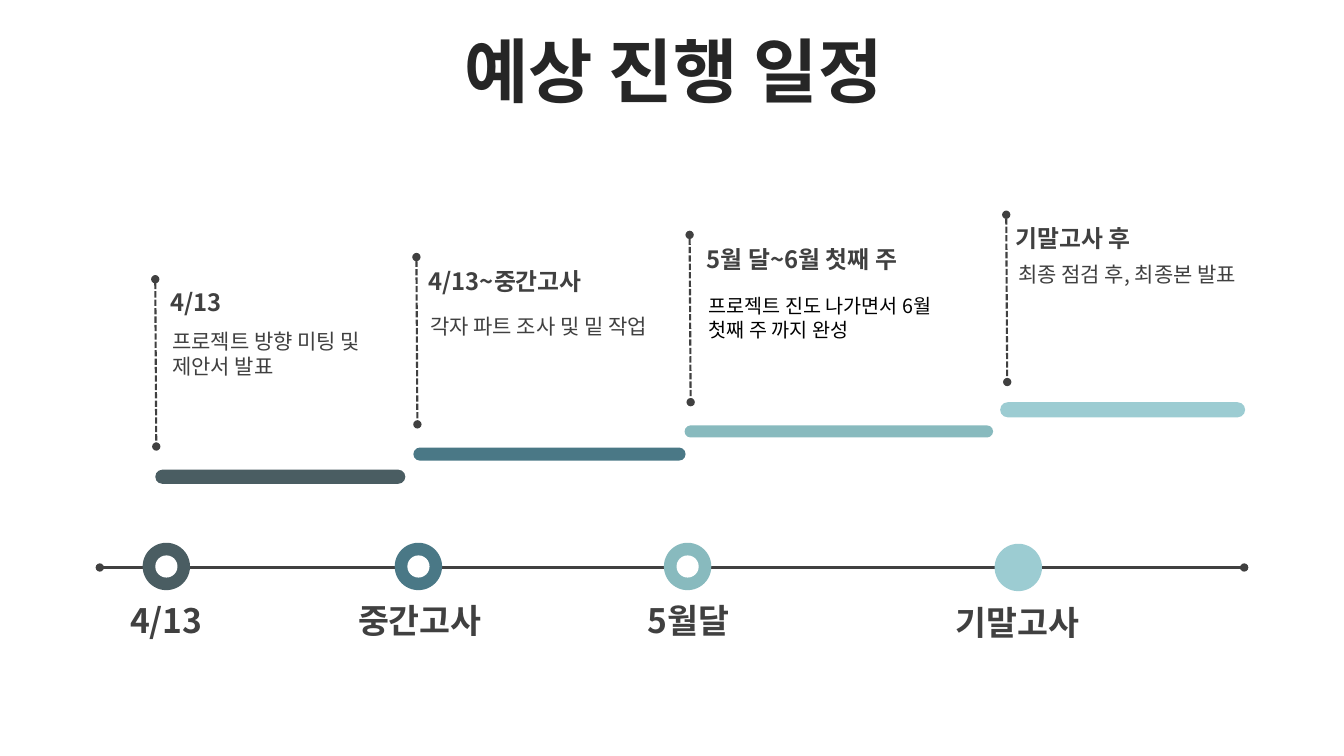
from lxml import etree
from pptx import Presentation
from pptx.dml.color import RGBColor
from pptx.enum.dml import MSO_LINE
from pptx.enum.shapes import MSO_CONNECTOR, MSO_SHAPE
from pptx.enum.text import MSO_ANCHOR, MSO_AUTO_SIZE, PP_ALIGN
from pptx.oxml.ns import qn
from pptx.util import Inches, Pt

STRAIGHT = MSO_CONNECTOR.STRAIGHT
OVAL, ROUNDED = MSO_SHAPE.OVAL, MSO_SHAPE.ROUNDED_RECTANGLE
CENTER, LEFT = PP_ALIGN.CENTER, PP_ALIGN.LEFT
MIDDLE = MSO_ANCHOR.MIDDLE
GROW = MSO_AUTO_SIZE.SHAPE_TO_FIT_TEXT
DASH = MSO_LINE.SQUARE_DOT

FONT = "Noto Sans CJK KR"
DARK, WHITE, BLACK, TITLE_COLOR = "404040", "FFFFFF", "000000", "262626"
TITLE = "예상 진행 일정"

# label, label box, ring centre, has hole, colour
MILESTONES = [
    ("4/13", (1.05, 5.95, 1.2, 0.39), (1.65, 5.62), True, "4A5D62"),
    ("중간고사", (3.3, 5.95, 1.73, 0.4), (4.15, 5.62), True, "4A7886"),
    ("5월달", (6.23, 5.95, 1.2, 0.39), (6.82, 5.62), True, "88BABE"),
    ("기말고사", (9.11, 5.97, 1.97, 0.4), (10.1, 5.63), False, "9CCCD2"),
]
# heading, heading box, detail, detail box, detail size and colour, stem top, bar
STAGES = [
    ("4/13", (1.57, 2.81, 2.24, 0.37),
     "프로젝트 방향 미팅 및 제안서 발표", (1.61, 3.21, 2.23, 0.84), 15, DARK,
     (1.54, 2.77), (1.54, 4.66, 2.48, 0.14)),
    ("4/13~중간고사", (4.13, 2.6, 2.38, 0.38),
     "각자 파트 조사 및 밑 작업", (4.17, 3.06, 2.7, 0.35), 15, DARK,
     (4.13, 2.55), (4.1, 4.44, 2.7, 0.13)),
    ("5월 달~6월 첫째 주", (6.89, 2.38, 2.52, 0.67),
     "프로젝트 진도 나가면서 6월 첫째 주 까지 완성", (6.93, 2.87, 2.67, 0.57), 14, BLACK,
     (6.84, 2.33), (6.79, 4.22, 3.06, 0.12)),
    ("기말고사 후", (9.95, 2.17, 2.24, 0.38),
     "최종 점검 후, 최종본 발표", (10, 2.54, 2.75, 0.35), 15, DARK,
     (9.98, 2.13), (9.92, 3.99, 2.43, 0.15)),
]
RING, HOLE = 0.47, 0.22
STEM_LEAN, STEM_HEIGHT = 0.01, 1.66


def rgb(color):
    return RGBColor.from_string(color)


def write(frame, text, size, color, bold, align):
    frame.word_wrap = True
    frame.text = text
    para = frame.paragraphs[0]
    para.alignment = align
    font = para.runs[0].font
    font.size, font.bold, font.name = Pt(size), bold, FONT
    font.color.rgb = rgb(color)
    east_asian = etree.SubElement(font._element, qn("a:ea"))
    east_asian.set("typeface", FONT)
    return para


def add_text(page, area, text, size, color=DARK, bold=False, align=LEFT, insets=(0.1, 0.05)):
    frame = page.shapes.add_textbox(*map(Inches, area)).text_frame
    frame.margin_left = frame.margin_right = Inches(insets[0])
    frame.margin_top = frame.margin_bottom = Inches(insets[1])
    write(frame, text, size, color, bold, align)
    frame.auto_size = GROW


def add_filled(page, kind, area, color):
    shape = page.shapes.add_shape(kind, *map(Inches, area))
    shape.shadow.inherit = False
    shape.fill.solid()
    shape.fill.fore_color.rgb = rgb(color)
    shape.line.fill.background()
    return shape


def add_disc(page, center, diameter, color):
    left, top = (value - diameter / 2 for value in center)
    add_filled(page, OVAL, (left, top, diameter, diameter), color)


def add_dotted_end_line(page, start, end, width, dash=None):
    """Draw a line with a round dot at each end."""
    line = page.shapes.add_connector(STRAIGHT, *map(Inches, start + end))
    line.line.color.rgb = rgb(DARK)
    line.line.width = Pt(width)
    if dash:
        line.line.dash_style = dash
    outline = line.line._get_or_add_ln()
    for tag in ("a:headEnd", "a:tailEnd"):
        etree.SubElement(outline, qn(tag)).set("type", "oval")
    etree.SubElement(line._element.spPr, qn("a:effectLst"))


def add_title(page):
    title = page.shapes.title
    title.left, title.top, title.width, title.height = map(Inches, (0.35, 0.37, 12.66, 0.79))
    title.text_frame.vertical_anchor = MIDDLE
    para = write(title.text_frame, TITLE, 50, TITLE_COLOR, True, CENTER)
    para.line_spacing = 0.8
    para.space_before = Pt(10)


def main():
    deck = Presentation()
    deck.slide_width, deck.slide_height = Inches(13.33), Inches(7.5)
    page = deck.slides.add_slide(deck.slide_layouts[5])
    add_title(page)

    add_dotted_end_line(page, (0.99, 5.63), (12.34, 5.63), 1.75)
    for label, area, center, has_hole, color in MILESTONES:
        add_disc(page, center, RING, color)
        if has_hole:
            add_disc(page, center, HOLE, WHITE)
        add_text(page, area, label, 24, bold=True, align=CENTER, insets=(0, 0))

    for heading, heading_area, detail, detail_area, size, color, stem, bar in STAGES:
        add_filled(page, ROUNDED, bar, MILESTONES[STAGES.index(
            (heading, heading_area, detail, detail_area, size, color, stem, bar))][-1]
        ).adjustments[0] = 0.5
        add_text(page, detail_area, detail, size, color)
        add_text(page, heading_area, heading, 17, bold=True, insets=(0.12, 0.05))
        foot = (stem[0] + STEM_LEAN, stem[1] + STEM_HEIGHT)
        add_dotted_end_line(page, stem, foot, 1.5, DASH)

    deck.save("out.pptx")


if __name__ == "__main__":
    main()
